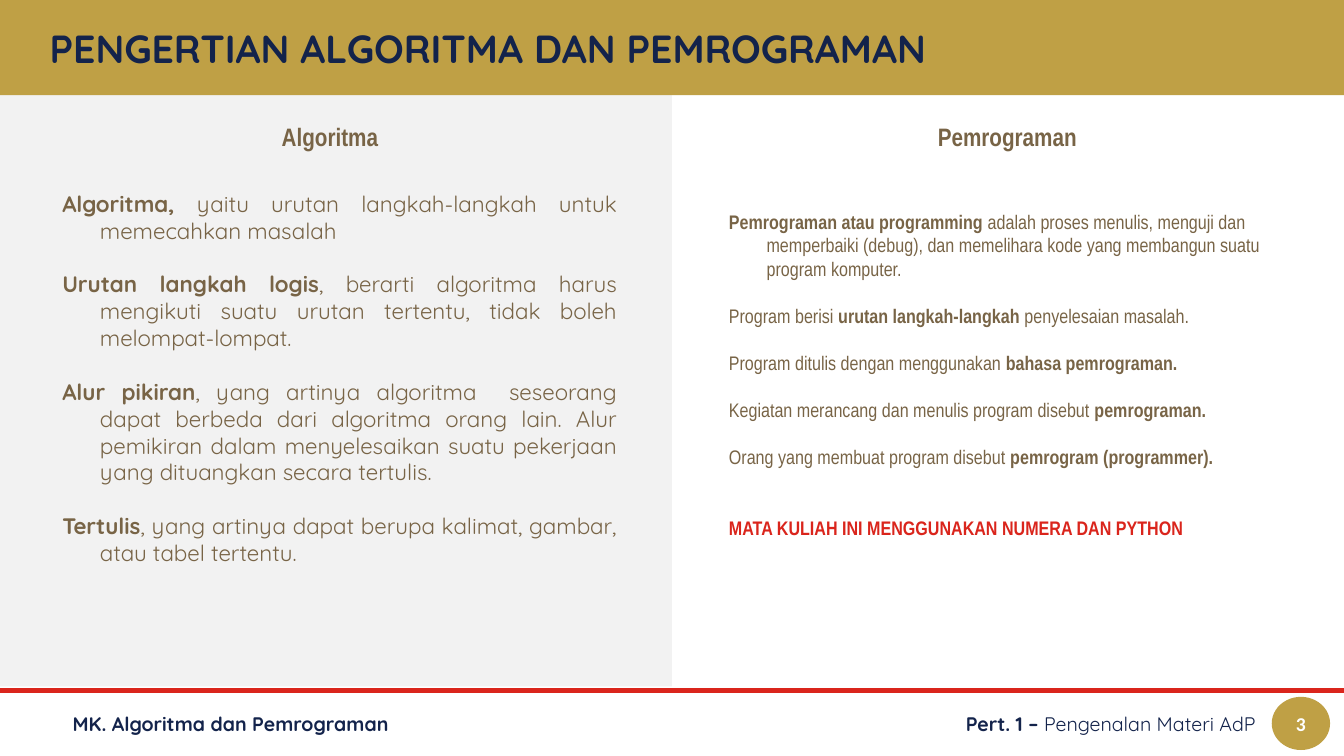
from lxml import etree
from pptx import Presentation
from pptx import util as u
from pptx.dml.color import RGBColor
from pptx.enum import shapes, text
from pptx.oxml.ns import qn

WIDE, HIGH = 33.87, 19.05
HALF = WIDE / 2
GOLD, NAVY, RED = "BFA045", "13234B", "DA251C"
BROWN, GREY, WHITE = "786446", "F2F2F2", "FFFFFF"
SANS, SLIM = "Quicksand", "Arial Narrow"
LEFT, MID, RIGHT, FULL = (text.PP_ALIGN.LEFT, text.PP_ALIGN.CENTER,
                          text.PP_ALIGN.RIGHT, text.PP_ALIGN.JUSTIFY)

# Asterisks enclose the bold words
ALGO = [
    "*Algoritma, *yaitu urutan langkah-langkah untuk memecahkan masalah",
    "*Urutan langkah logis*, berarti algoritma harus mengikuti suatu urutan "
    "tertentu, tidak boleh melompat-lompat.",
    "*Alur pikiran*, yang artinya algoritma  seseorang dapat berbeda dari "
    "algoritma orang lain. Alur pemikiran dalam menyelesaikan suatu pekerjaan "
    "yang dituangkan secara tertulis.",
    "*Tertulis*, yang artinya dapat berupa kalimat, gambar, atau tabel tertentu.",
]
PROG = [
    "*Pemrograman atau programming *adalah proses menulis, menguji dan "
    "memperbaiki (debug), dan memelihara kode yang membangun suatu program "
    "komputer.",
    "Program berisi *urutan langkah-langkah *penyelesaian masalah.",
    "Program ditulis dengan menggunakan *bahasa pemrograman.*",
    "Kegiatan merancang dan menulis program disebut *pemrograman.*",
    "Orang yang membuat program disebut *pemrogram (programmer).*",
    "*MATA KULIAH INI MENGGUNAKAN NUMERA DAN PYTHON*",
]


def color(code):
    return RGBColor.from_string(code)


def block(slide, kind, x, y, w, h, fill):
    """Add a filled shape without outline."""
    shape = slide.shapes.add_shape(kind, u.Cm(x), u.Cm(y), u.Cm(w), u.Cm(h))
    shape.shadow.inherit = False
    shape.fill.solid()
    shape.fill.fore_color.rgb = color(fill)
    shape.line.fill.background()
    return shape


def rule(slide, y, tint, width):
    """Add a line across the slide."""
    line = slide.shapes.add_connector(
        shapes.MSO_CONNECTOR.STRAIGHT, 0, u.Cm(y), u.Cm(WIDE), u.Cm(y))
    line.line.color.rgb = color(tint)
    line.line.width = u.Pt(width)
    etree.SubElement(line._element.spPr, qn("a:effectLst"))


def write(par, line, font, size, tint, align):
    """Fill a paragraph, with marked words in bold."""
    par.alignment = align
    parts = [(part, i % 2 == 1) for i, part in enumerate(line.split("*")) if part]
    for part, bold in parts:
        run = par.add_run()
        run.text = part
        if len(parts) > 1:
            run.font.bold = bold
    if len(parts) == 1:
        par.font.bold = parts[0][1]
    par.font.name = font
    par.font.size = u.Pt(size)
    par.font.color.rgb = color(tint)


def label(slide, x, y, w, h, line, font, size, tint, align=LEFT):
    """Add a one-line text box, centred vertically."""
    box = slide.shapes.add_textbox(u.Cm(x), u.Cm(y), u.Cm(w), u.Cm(h))
    frame = box.text_frame
    frame.word_wrap = True
    frame.vertical_anchor = text.MSO_ANCHOR.MIDDLE
    write(frame.paragraphs[0], line, font, size, tint, align)
    return frame


def body(slide, x, y, w, h, lines, font, size, align, gap):
    """Add a text column with hanging indents and even gaps."""
    frame = label(slide, x, y, w, h, lines[0], font, size, BROWN, align)
    for line in lines[1:]:
        par = frame.add_paragraph()
        par.space_before = u.Pt(gap)
        write(par, line, font, size, BROWN, align)
    for par in frame.paragraphs:
        props = par._p.get_or_add_pPr()
        props.set("marL", str(u.Cm(1.27)))
        props.set("indent", str(u.Cm(-0.95)))
    return frame


def main():
    deck = Presentation()
    deck.slide_width, deck.slide_height = u.Cm(WIDE), u.Cm(HIGH)
    slide = deck.slides.add_slide(deck.slide_layouts[6])
    rect, oval = shapes.MSO_SHAPE.RECTANGLE, shapes.MSO_SHAPE.OVAL

    # Panel, title band and footer line
    block(slide, rect, 0, 2.4, HALF, 14.9, GREY)
    block(slide, rect, 0, 0, WIDE, 2.4, GOLD)
    rule(slide, 17.4, RED, 3)
    label(slide, 1, 0.54, 31.87, 1.34,
          "*PENGERTIAN ALGORITMA DAN PEMROGRAMAN*", SANS, 28, NAVY)

    # Footer
    foot, tall = 17.56, 1.34
    label(slide, 1.58, foot, 13.44, tall,
          "*MK. Algoritma dan Pemrograman*", SANS, 14, NAVY)
    label(slide, 16.53, foot, 15.37, tall,
          "*Pert. 1 – *Pengenalan Materi AdP", SANS, 14, NAVY, RIGHT)
    badge = block(slide, oval, 32.05, foot, 1.47, tall, GOLD).text_frame
    badge.vertical_anchor = text.MSO_ANCHOR.MIDDLE
    write(badge.paragraphs[0], "*3*", "Calibri", 14, WHITE, MID)

    # Column headings
    for x, head in ((5.33, "*Algoritma*"), (22.4, "*Pemrograman*")):
        label(slide, x, 2.92, 5.97, 1.02, head, SLIM, 18, BROWN, MID)

    # Column texts
    body(slide, 1, 4.95, 14.8, 9.15, ALGO, SANS, 16, FULL, 19.2)
    frame = body(slide, 17.8, 4.75, 15.17, 9.37, PROG, SLIM, 14, LEFT, 16.8)
    last = frame.paragraphs[-1]
    last.space_before = u.Pt(33.6)
    last.font.color.rgb = color(RED)

    deck.save("out.pptx")


if __name__ == "__main__":
    main()
